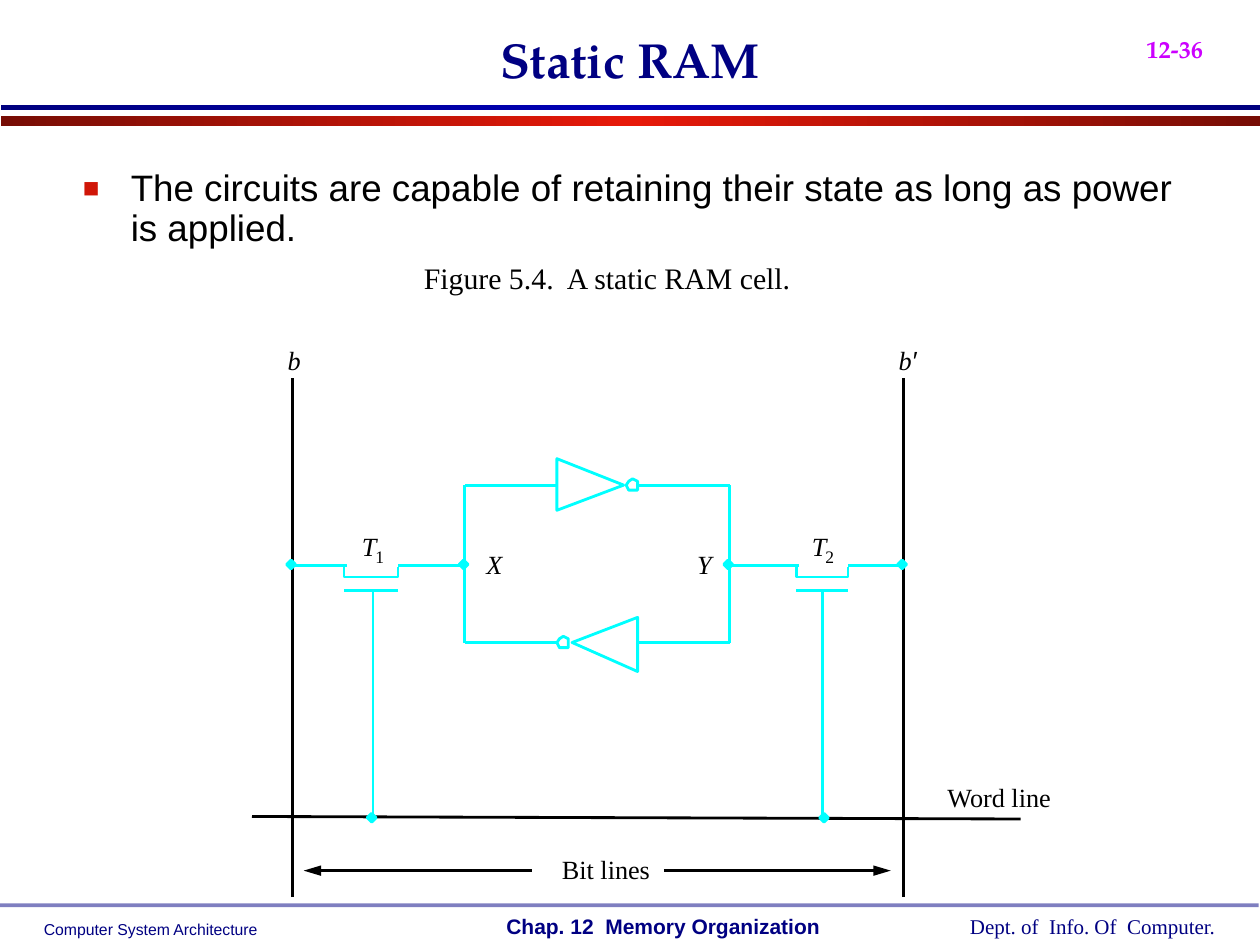
from copy import deepcopy
from lxml import etree
from pptx import Presentation
from pptx.dml.color import RGBColor
from pptx.enum.shapes import MSO_CONNECTOR, MSO_SHAPE
from pptx.enum.text import MSO_ANCHOR, PP_ALIGN
from pptx.oxml.ns import qn
from pptx.util import Cm, Pt

STRAIGHT = MSO_CONNECTOR.STRAIGHT
RECT, DIAMOND = MSO_SHAPE.RECTANGLE, MSO_SHAPE.DIAMOND
LEFT, CENTER = PP_ALIGN.LEFT, PP_ALIGN.CENTER
TOP, BOTTOM = MSO_ANCHOR.TOP, MSO_ANCHOR.BOTTOM

THEME = {
    "navy": "000082", "black": "000000", "white": "FFFFFF",
    "wire": "00FFFF", "number": "CC00FF", "bullet": "D01608",
    "red_band": ("770D05", "E71909", "770D05"),
    "blue_band": ("00007F", "0000B6", "00007F"),
    "serif": "Times New Roman", "sans": "Arial", "display": "TeX Gyre Pagella",
    "title": 28, "body": 21, "caption": 17, "label": 15, "sub": 10,
    "page": 24, "footer": 12, "footer_small": 9, "line": 1.62, "gap_line": 1.5,
}

# All positions are in inches: boxes are left, top, width, height.
TITLE = ("Static RAM", (0.75, 0, 8.5, 0.75))
BODY = ("The circuits are capable of retaining their state as long as power is applied.",
        (0.56, 1.3, 9, 0.78))
PAGE = ("12-36", (9, 0, 1.08, 0.56))
BANDS = [("red_band", (0.01, 0.92, 9.99, 0.08)), ("blue_band", (0.01, 0.83, 9.99, 0.04))]
FOOTER_RULE = (0, 7.17, 9.99, 0.03)
FOOTERS = [
    ("Computer System Architecture", (0.25, 7.25, 1.9, 0.25), "footer_small", "sans", False),
    ("Dept. of  Info. Of  Computer.", (7.6, 7.2, 2.16, 0.3), "footer", "serif", False),
    ("Chap. 12  Memory Organization", (3.92, 7.2, 2.69, 0.3), "footer", "sans", True),
]
LABELS = [  # text, box, size, font, italic
    ("Figure 5.4.  A static RAM cell.", (3.35, 2.06, 2.94, 0.28), "caption", "serif", False),
    ("b", (2.28, 2.73, 0.11, 0.25), "label", "serif", True),
    ("b", (7.13, 2.73, 0.11, 0.25), "label", "serif", True),
    ("′", (7.23, 2.73, 0.07, 0.25), "label", "sans", False),
    ("T", (2.87, 4.21, 0.12, 0.25), "label", "serif", True),
    ("1", (2.98, 4.33, 0.07, 0.17), "sub", "serif", False),
    ("T", (6.44, 4.21, 0.12, 0.25), "label", "serif", True),
    ("2", (6.55, 4.33, 0.07, 0.17), "sub", "serif", False),
    ("X", (3.86, 4.35, 0.13, 0.25), "label", "serif", True),
    ("Y", (5.53, 4.35, 0.12, 0.25), "label", "serif", True),
    ("Word line", (7.51, 6.2, 0.84, 0.25), "label", "serif", False),
    ("Bit lines", (4.46, 6.77, 0.7, 0.25), "label", "serif", False),
]

B, B_BAR, X, Y = 2.32, 7.17, 3.69, 5.79     # bit lines and cell nodes
UPPER, MIDDLE, LOWER = 3.85, 4.49, 5.1      # rows of the cell
WORD, ARROW, GATE = 6.48, 6.91, 4.69
BUS_LINES = [((B, 7.12), (B, 3)), ((B_BAR, 7.12), (B_BAR, 3)), ((8.1, 6.5), (2, WORD))]
BIT_ARROWS = [((4.22, ARROW), (2.41, ARROW)), ((5.27, ARROW), (7.07, ARROW))]
CELL_WIRES = [
    ((X, LOWER), (X, UPPER)), ((Y, LOWER), (Y, UPPER)),
    ((4.42, UPPER), (X, UPPER)), ((Y, UPPER), (5.06, UPPER)),
    ((Y, LOWER), (5.06, LOWER)), ((4.42, LOWER), (X, LOWER)),
]
INVERTERS = [
    [(4.42, 3.64), (4.95, UPPER), (4.42, 4.05)],
    [(5.06, 4.9), (4.54, LOWER), (5.06, 5.33)],
]
BUBBLES = [(5.02, UPPER), (4.47, LOWER)]
BUBBLE = [(0, -0.05), (-0.03, -0.03), (-0.05, 0), (-0.03, 0.04),
          (0.04, 0.04), (0.04, 0), (0.04, -0.03)]
TRANSISTORS = [(B, 2.73, 0.43, 2.96, X), (Y, 6.32, 0.41, 6.53, B_BAR)]
DOTS = [(n - 0.01, MIDDLE - 0.01) for n in (B, X, Y, B_BAR)] + [(2.95, 6.49), (6.54, 6.49)]


def inch(*values):
    return [Cm(v * 2.54) for v in values]


def color(name):
    return RGBColor.from_string(THEME[name])


def write(s, text, size, font="serif", ink="black", bold=False, italic=False,
          align=LEFT, anchor=TOP, wrap=False, inset=(0.1, 0.05)):
    tf = s.text_frame
    tf.word_wrap, tf.vertical_anchor = wrap, anchor
    tf.margin_left = tf.margin_right = inch(inset[0])[0]
    tf.margin_top = tf.margin_bottom = inch(inset[1])[0]
    p = tf.paragraphs[0]
    p.alignment = align
    r = p.add_run()
    r.text = text
    r.font.size, r.font.name, r.font.color.rgb = Pt(THEME[size]), THEME[font], color(ink)
    r.font.bold, r.font.italic = bold, italic
    return p


def text_box(text, box, size, **fmt):
    return write(slide.shapes.add_textbox(*inch(*box)), text, size, **fmt)


def style(sp, fill=None, line=None):
    sp.shadow.inherit = False
    if fill:
        sp.fill.solid()
        sp.fill.fore_color.rgb = color(fill)
    else:
        sp.fill.background()
    if line:
        sp.line.color.rgb, sp.line.width = color(line), Pt(THEME["line"])
    else:
        sp.line.fill.background()
    return sp


def shape(kind, box, **look):
    return style(slide.shapes.add_shape(kind, *inch(*box)), **look)


def polygon(points, **look):
    start, *rest = [inch(*pt) for pt in points]
    builder = slide.shapes.build_freeform(*start)
    builder.add_line_segments(rest, close=True)
    return style(builder.convert_to_shape(), **look)


def wire(start, end, ink="wire", width="line", arrow=False):
    c = slide.shapes.add_connector(STRAIGHT, *inch(*start, *end))
    c.line.color.rgb, c.line.width = color(ink), Pt(THEME[width])
    if arrow:
        etree.SubElement(c.line._get_or_add_ln(), qn("a:tailEnd"),
                         type="triangle", w="med", len="lg")
    etree.SubElement(c._element.spPr, qn("a:effectLst"))


def band(name, box):
    """Bar with a three-stop horizontal gradient."""
    sp = shape(RECT, box)
    sp.fill.gradient()
    sp.fill.gradient_angle = 0
    stops = sp._element.spPr.find(".//" + qn("a:gsLst"))
    stops.append(deepcopy(stops[0]))
    for stop, position, ink in zip(sp.fill.gradient_stops, (0, 0.5, 1), THEME[name]):
        stop.position, stop.color.rgb = position, RGBColor.from_string(ink)


def add_bullet(p):
    pr = p._p.get_or_add_pPr()
    indent = inch(0.38)[0]
    pr.set("marL", str(indent))
    pr.set("indent", str(-indent))
    bu_clr = etree.SubElement(pr, qn("a:buClr"))
    etree.SubElement(bu_clr, qn("a:srgbClr"), val=THEME["bullet"])
    etree.SubElement(pr, qn("a:buSzPct"), val="75000")
    etree.SubElement(pr, qn("a:buFont"), typeface=THEME["sans"])
    etree.SubElement(pr, qn("a:buChar"), char="■")


def transistor(source, left, width, gate, drain):
    right = left + width
    wire((left, MIDDLE), (source, MIDDLE))
    shape(RECT, (left, MIDDLE, width, 0.09), line="wire")
    wire((left + 0.02, MIDDLE), (left + 0.53, MIDDLE), ink="white", width="gap_line")
    wire((drain, MIDDLE), (right, MIDDLE))
    wire((right, GATE), (left, GATE))
    wire((gate, WORD), (gate, GATE))


prs = Presentation()
prs.slide_width, prs.slide_height = inch(10, 7.5)
slide = prs.slides.add_slide(prs.slide_layouts[5])

for name, box in BANDS:
    band(name, box)
rule = shape(RECT, FOOTER_RULE, fill="navy")
etree.SubElement(rule._element.spPr.find(".//" + qn("a:srgbClr")), qn("a:alpha"), val="50000")
for text, box, size, font, bold in FOOTERS:
    text_box(text, box, size, font=font, ink="navy", bold=bold)
number = text_box(*PAGE, "page", font="display", ink="number", bold=True, wrap=True)
number.runs[0].font._element.set("baseline", "-25000")

title = slide.shapes.title
title.left, title.top, title.width, title.height = inch(*TITLE[1])
write(title, TITLE[0], "title", font="display", ink="navy", bold=True,
      align=CENTER, anchor=BOTTOM, wrap=True)
body = text_box(*BODY, "body", font="sans", wrap=True)
body.line_spacing = 0.9
add_bullet(body)

for ends in BUS_LINES:
    wire(*ends, ink="black")
for ends in BIT_ARROWS:
    wire(*ends, ink="black", arrow=True)
for ends in CELL_WIRES:
    wire(*ends)
for points in INVERTERS:
    polygon(points, line="wire")
for cx, cy in BUBBLES:
    polygon([(cx + dx, cy + dy) for dx, dy in BUBBLE], fill="white", line="wire")
for parts in TRANSISTORS:
    transistor(*parts)
for cx, cy in DOTS:
    shape(DIAMOND, (cx - 0.035, cy - 0.035, 0.07, 0.07), fill="wire", line="wire")
for text, box, size, font, italic in LABELS:
    text_box(text, box, size, font=font, italic=italic, align=CENTER, inset=(0, 0))

prs.save("out.pptx")
